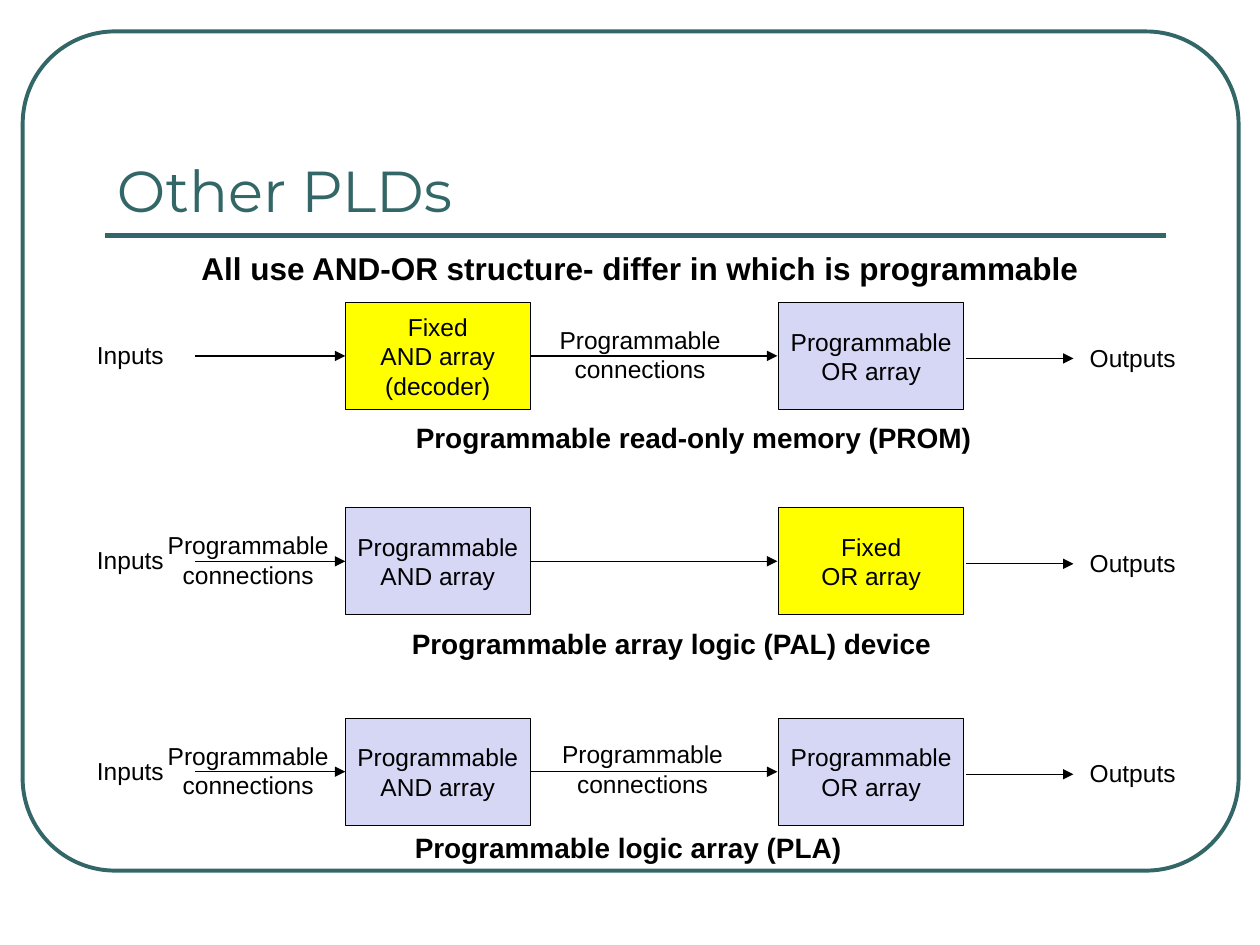
from lxml import etree
from pptx import Presentation, util as u
from pptx.dml.color import RGBColor
from pptx.enum import shapes, text
from pptx.oxml.ns import qn

COLS, ROWS = 100, 75
TEAL, BLACK, YELLOW, LILAC = "336666", "000000", "FFFF00", "D6D6F5"
TITLE = "Other PLDs"
LEAD = "All use AND-OR structure- differ in which is programmable"
LINK = ("Programmable", "connections")
FIXED, FREE = ("Fixed", YELLOW), ("Programmable", LILAC)
PLDS = [
    dict(top=24, gates=(FIXED, FREE), note="(decoder)", links=[(43.4, 1.3)],
         name="Programmable read-only memory (PROM)", cap=(32, 8.9, 46.1)),
    dict(top=40.3, gates=(FREE, FIXED), links=[(12.3, 1.3)],
         name="Programmable array logic (PAL) device", cap=(31.6, 8.9, 43.4)),
    dict(top=57, gates=(FREE, FREE), links=[(12.3, 1.3), (43.6, 1.2)],
         name="Programmable logic array (PLA)", cap=(31.9, 8.4, 35.9)),
]
GATES = [("AND array", 27.4), ("OR array", 61.8)]
WIDE, TALL = 14.7, 8.5
WIRES = [(15.5, 27.4, 4.25), (42.1, 61.7, 4.25), (76.7, 85.2, 4.45)]
ENDS = [("Inputs", 6.7, 2.5, 7.3), ("Outputs", 85.5, 2.7, 8.8)]

prs = Presentation()
prs.slide_width, prs.slide_height = u.Inches(10), u.Inches(7.5)
slide = prs.slides.add_slide(prs.slide_layouts[6])


def at(*spots):
    """Turn alternating column and row counts into slide lengths."""
    sizes = (prs.slide_width / COLS, prs.slide_height / ROWS)
    return [round(spot * sizes[i % 2]) for i, spot in enumerate(spots)]


def tint(code):
    """Make a colour from a hex string."""
    return RGBColor.from_string(code)


def write(shape, lines, size=14, bold=False, color=BLACK, font="Arial",
          align="CENTER", anchor="TOP", wrap=False):
    """Fill a shape with one paragraph per line."""
    frame = shape.text_frame
    frame.word_wrap = wrap
    frame.vertical_anchor = getattr(text.MSO_ANCHOR, anchor)
    for i, line in enumerate(lines):
        para = frame.add_paragraph() if i else frame.paragraphs[0]
        para.alignment = getattr(text.PP_ALIGN, align)
        run = para.add_run()
        run.text = line
        run.font.size, run.font.bold, run.font.name = u.Pt(size), bold, font
        run.font.color.rgb = tint(color)


def label(box, lines, **style):
    """Add a text box."""
    write(slide.shapes.add_textbox(*at(*box)), lines, **style)


def block(kind, box, line, width, fill=None):
    """Add an outlined preset shape."""
    shape = slide.shapes.add_shape(kind, *at(*box))
    shape.shadow.inherit = False
    if fill:
        shape.fill.solid()
        shape.fill.fore_color.rgb = tint(fill)
    else:
        shape.fill.background()
    shape.line.color.rgb, shape.line.width = tint(line), u.Pt(width)
    return shape


def wire(start, end, row, color=BLACK, width=0.75, arrow=True):
    """Add a level line, with an arrowhead if wanted."""
    line = slide.shapes.add_connector(
        shapes.MSO_CONNECTOR.STRAIGHT, *at(start, row, end, row))
    line.line.color.rgb, line.line.width = tint(color), u.Pt(width)
    if arrow:
        etree.SubElement(line.line._get_or_add_ln(), qn("a:tailEnd"), type="triangle")
    etree.SubElement(line._element.spPr, qn("a:effectLst"))


def draw(pld):
    """Draw one device as a row of gates, wires and labels."""
    top = pld["top"]
    for (kind, fill), (gate, left) in zip(pld["gates"], GATES):
        lines = [kind, gate]
        if gate == "AND array" and "note" in pld:
            lines.append(pld["note"])
        shape = block(shapes.MSO_SHAPE.RECTANGLE, (left, top, WIDE, TALL),
                      BLACK, 0.75, fill)
        write(shape, lines, anchor="MIDDLE")
    for start, end, drop in WIRES:
        wire(start, end, top + drop)
    for word, left, drop, width in ENDS:
        label((left, top + drop, width, 3.4), [word])
    for left, drop in pld["links"]:
        label((left, top + drop, 14.8, 5.7), LINK)
    left, drop, width = pld["cap"]
    label((left, top + drop, width, 3.7), [pld["name"]], size=16, bold=True)


def main():
    """Build and save the slide."""
    frame = block(shapes.MSO_SHAPE.ROUNDED_RECTANGLE, (1.8, 2.5, 96.5, 66.6), TEAL, 2.25)
    frame.adjustments[0] = 0.11
    wire(8.3, 92.5, 18.7, TEAL, 3, arrow=False)
    label((8.3, 5.8, 84.1, 12.5), [TITLE], size=33, color=TEAL,
          font="Montserrat", align="LEFT", anchor="BOTTOM", wrap=True)
    for pld in PLDS:
        draw(pld)
    label((15, 19.3, 72.5, 4), [LEAD], size=18, bold=True, align="LEFT", wrap=True)
    prs.save("out.pptx")


if __name__ == "__main__":
    main()
